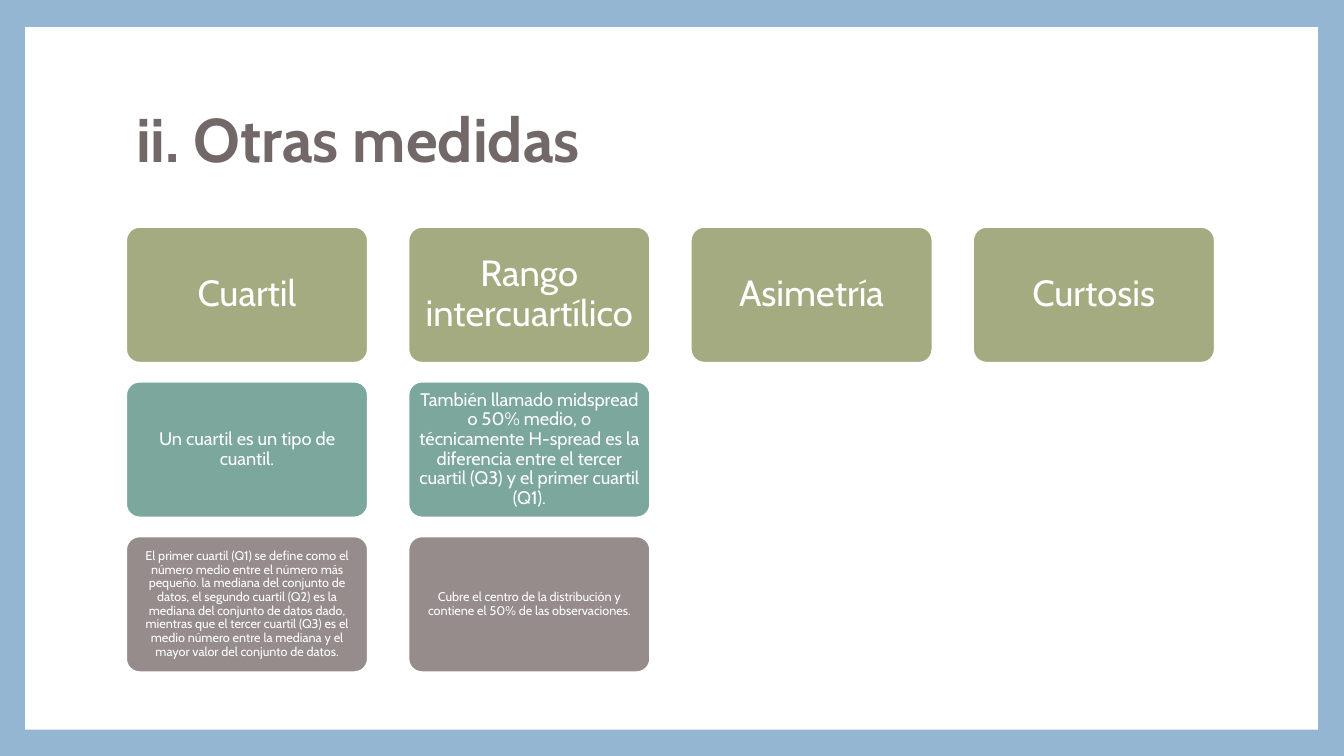
from dataclasses import dataclass

from pptx import Presentation
from pptx.dml.color import RGBColor
from pptx.enum.shapes import MSO_SHAPE as Preset
from pptx.enum.text import MSO_ANCHOR as Anchor, MSO_AUTO_SIZE as AutoSize, PP_ALIGN as Align
from pptx.shapes.autoshape import Shape
from pptx.slide import Slide
from pptx.text.text import TextFrame
from pptx.util import Inches, Pt


@dataclass(frozen=True)
class Theme:
    font: str = "Cabin"
    frame: str = "94B6D2"
    white: str = "FFFFFF"
    title: str = "726868"
    measure: str = "A5AB81"
    definition: str = "7BA79D"
    detail: str = "968C8C"
    title_size: int = 44
    measure_size: int = 26
    definition_size: int = 13
    detail_size: int = 9


@dataclass(frozen=True)
class Level:
    fill: str
    size: int
    inset: float


@dataclass(frozen=True)
class Measure:
    texts: tuple[str, ...]


THEME = Theme()
LEVELS = (
    Level(THEME.measure, THEME.measure_size, 0.11),
    Level(THEME.definition, THEME.definition_size, 0.05),
    Level(THEME.detail, THEME.detail_size, 0.04),
)
MEASURES = (
    Measure((
        "Cuartil",
        "Un cuartil es un tipo de cuantil.",
        "El primer cuartil (Q1) se define como el número medio entre el número más pequeño. "
        "la mediana del conjunto de datos, el segundo cuartil (Q2) es la mediana del conjunto "
        "de datos dado, mientras que el tercer cuartil (Q3) es el medio número entre la mediana "
        "y el mayor valor del conjunto de datos.",
    )),
    Measure((
        "Rango intercuartílico",
        "También llamado midspread o 50% medio, o técnicamente H-spread es la diferencia entre "
        "el tercer cuartil (Q3) y el primer cuartil (Q1).",
        "Cubre el centro de la distribución y contiene el 50% de las observaciones.",
    )),
    Measure(("Asimetría",)),
    Measure(("Curtosis",)),
)
LEFT, TOP, BOTTOM = 1.25, 2.25, 6.67
CARD_WIDTH, CARD_HEIGHT = 2.4, 1.35
COLUMN_PITCH = 2.8
ROW_PITCH = (BOTTOM - TOP - CARD_HEIGHT) / (len(LEVELS) - 1)


def write(frame: TextFrame, text: str, *, size: int, color: str,
          bold: bool = False, align: Align = Align.CENTER) -> None:
    frame.word_wrap = True
    frame.auto_size = AutoSize.NONE
    frame.vertical_anchor = Anchor.MIDDLE
    paragraph = frame.paragraphs[0]
    paragraph.alignment = align
    paragraph.line_spacing = 0.9
    run = paragraph.add_run()
    run.text = text
    run.font.name = THEME.font
    run.font.size = Pt(size)
    run.font.bold = bold
    run.font.color.rgb = RGBColor.from_string(color)


def add_block(slide: Slide, preset: Preset, left: float, top: float,
              width: float, height: float, fill: str) -> Shape:
    block = slide.shapes.add_shape(preset, Inches(left), Inches(top), Inches(width), Inches(height))
    block.shadow.inherit = False
    block.fill.solid()
    block.fill.fore_color.rgb = RGBColor.from_string(fill)
    block.line.fill.background()
    return block


def add_card(slide: Slide, column: int, row: int, text: str) -> None:
    level = LEVELS[row]
    card = add_block(slide, Preset.ROUNDED_RECTANGLE, LEFT + column * COLUMN_PITCH,
                     TOP + row * ROW_PITCH, CARD_WIDTH, CARD_HEIGHT, level.fill)
    card.adjustments[0] = 0.1
    card.line.color.rgb = RGBColor.from_string(THEME.white)
    card.line.width = Pt(1.5)
    frame = card.text_frame
    frame.margin_left = frame.margin_right = Inches(level.inset)
    frame.margin_top = frame.margin_bottom = Inches(level.inset)
    write(frame, text, size=level.size, color=THEME.white)


def add_title(slide: Slide, text: str) -> None:
    title = slide.shapes.title
    title.left, title.top = Inches(LEFT), Inches(0.67)
    title.width, title.height = Inches(10.8), Inches(1.48)
    write(title.text_frame, text, size=THEME.title_size, color=THEME.title,
          bold=True, align=Align.LEFT)


def main() -> None:
    deck = Presentation()
    deck.slide_width, deck.slide_height = Inches(13.33), Inches(7.5)
    slide = deck.slides.add_slide(deck.slide_layouts.get_by_name("Title Only"))
    slide.background.fill.solid()
    slide.background.fill.fore_color.rgb = RGBColor.from_string(THEME.frame)

    panel = add_block(slide, Preset.RECTANGLE, 0.25, 0.27, 12.82, 6.97, THEME.white)
    slide.shapes.title.element.addprevious(panel.element)
    add_title(slide, "ii. Otras medidas")
    for column, measure in enumerate(MEASURES):
        for row, text in enumerate(measure.texts):
            add_card(slide, column, row, text)
    deck.save("out.pptx")


if __name__ == "__main__":
    main()
